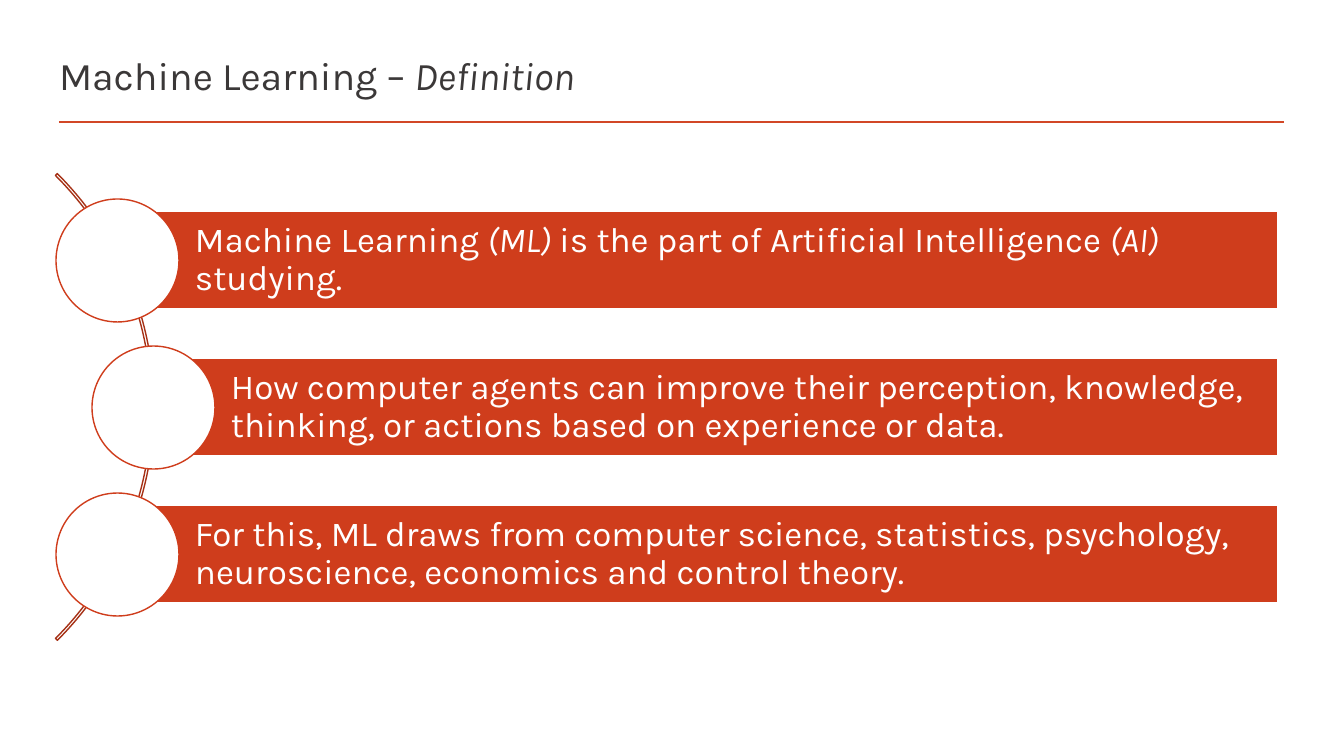
"""Build the slide that defines machine learning."""
from lxml import etree
from pptx import Presentation
from pptx import util as u
from pptx.dml.color import RGBColor
from pptx.enum import shapes, text
from pptx.oxml import ns

COLORS = {"title": "3B3838", "rule": "D24726", "bar": "CF3D1C",
          "arc": "A63116", "white": "FFFFFF"}
DEFINITIONS = [
    (117, [("Machine Learning ", False), ("(ML)", True),
           (" is the part of Artificial Intelligence ", False),
           ("(AI)", True), (" studying.", False)]),
    (153, [("How computer agents can improve their perception, knowledge, "
            "thinking, or actions based on experience or data.", False)]),
    (117, [("For this, ML draws from computer science, statistics, psychology, "
            "neuroscience, economics and control theory.", False)]),
]


def px(length):
    return u.Emu(round(length * 914400 / 100.8))


def color(name):
    return RGBColor.from_string(COLORS[name])


def write(frame, runs, *, size, ink, font="Karla", spacing=0.9, insets=(10, 5, 10, 5)):
    frame.word_wrap = True
    frame.auto_size = text.MSO_AUTO_SIZE.NONE
    frame.vertical_anchor = text.MSO_ANCHOR.MIDDLE
    (frame.margin_left, frame.margin_top,
     frame.margin_right, frame.margin_bottom) = map(px, insets)
    paragraph = frame.paragraphs[0]
    paragraph.alignment = text.PP_ALIGN.LEFT
    paragraph.line_spacing = spacing
    for words, italic in runs:
        run = paragraph.add_run()
        run.text = words
        run.font.name = font
        run.font.size = u.Pt(size)
        run.font.italic = italic
        run.font.color.rgb = color(ink)


class Deck:
    def __init__(self):
        self.presentation = Presentation()
        self.presentation.slide_width = px(1344)
        self.presentation.slide_height = px(756)
        self.slide = self.presentation.slides.add_slide(
            self.presentation.slide_layouts[5])

    def title(self, runs, left, top, width, height):
        title = self.slide.shapes.title
        title.left, title.top = px(left), px(top)
        title.width, title.height = px(width), px(height)
        write(title.text_frame, runs, size=28, ink="title")

    def rule(self, left, right, top):
        rule = self.slide.shapes.add_connector(
            shapes.MSO_CONNECTOR.STRAIGHT, px(left), px(top), px(right), px(top))
        rule.line.color.rgb = color("rule")
        rule.line.width = u.Pt(2)
        etree.SubElement(rule.element.spPr, ns.qn("a:effectLst"))

    def shape(self, kind, left, top, width, height, *, line, fill=None):
        shape = self.slide.shapes.add_shape(
            kind, px(left), px(top), px(width), px(height))
        shape.shadow.inherit = False
        if fill:
            shape.fill.solid()
            shape.fill.fore_color.rgb = color(fill)
        else:
            shape.fill.background()
        shape.line.color.rgb = color(line)
        shape.line.width = u.Pt(1)
        return shape

    def arc(self, left, top, size):
        arc = self.shape(shapes.MSO_SHAPE.BLOCK_ARC, left, top, size, size, line="arc")
        for index, value in enumerate((189, 27, 0.004)):
            arc.adjustments[index] = value

    def definition(self, runs, left, top, *, right=1278, height=98, diameter=123):
        bar = self.shape(shapes.MSO_SHAPE.RECTANGLE, left, top, right - left, height,
                         line="white", fill="bar")
        write(bar.text_frame, runs, size=25, ink="white", insets=(78, 7, 7, 7))
        self.shape(shapes.MSO_SHAPE.OVAL, left - diameter // 2,
                   top - (diameter - height) // 2, diameter, diameter,
                   line="bar", fill="white")


def main():
    deck = Deck()
    deck.rule(59, 1284, 122)
    deck.title([("Machine Learning – ", False), ("Definition", True)], 49, 47, 1236, 61)
    deck.arc(-506, 77, 660)
    for row, (left, runs) in enumerate(DEFINITIONS):
        deck.definition(runs, left, 211 + 147 * row)
    deck.presentation.save("out.pptx")


if __name__ == "__main__":
    main()
